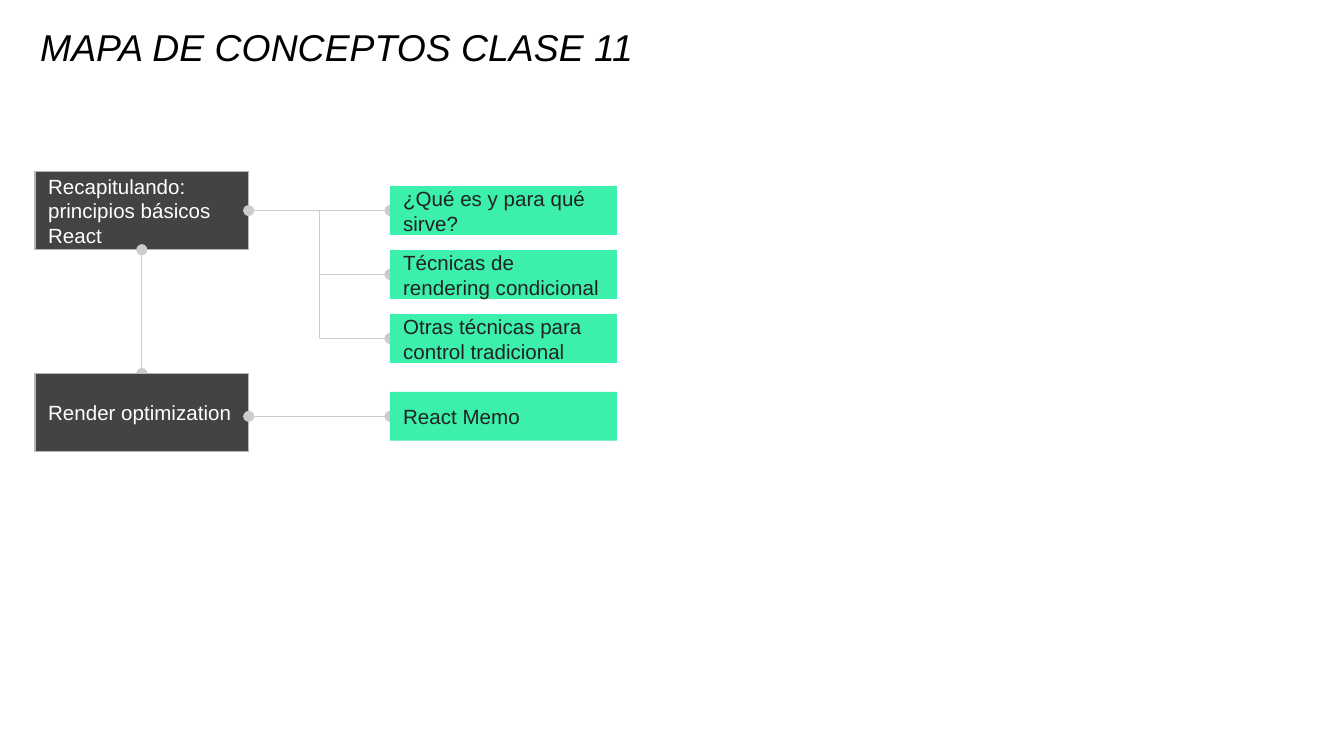
from lxml.etree import SubElement
from pptx import Presentation
from pptx.dml.color import RGBColor
from pptx.enum.shapes import MSO_CONNECTOR, MSO_SHAPE
from pptx.enum.text import MSO_ANCHOR, PP_ALIGN
from pptx.oxml.ns import qn
from pptx.util import Cm, Pt

COLORS = {
    "title": "000000",
    "topic": "434343",
    "topic_border": "B7B7B7",
    "topic_text": "FFFFFF",
    "concept": "3CEFAB",
    "concept_text": "222222",
    "link": "CCCCCC",
}
TOP, RIGHT, BOTTOM, LEFT = 0, 3, 2, 1


def color(name):
    return RGBColor.from_string(COLORS[name])


def write(box, text, size=11, ink="title", italic=False, anchor=MSO_ANCHOR.MIDDLE):
    frame = box.text_frame
    frame.word_wrap = True
    frame.vertical_anchor = anchor
    frame.margin_left = frame.margin_right = Cm(0.25)
    frame.margin_top = frame.margin_bottom = Cm(0.25)
    paragraph = frame.paragraphs[0]
    paragraph.alignment = PP_ALIGN.LEFT
    span = paragraph.add_run()
    span.text = text
    span.font.name = "Arial"
    span.font.size = Pt(size)
    span.font.italic = italic
    span.font.color.rgb = color(ink)


class ConceptMap:
    """Style and current slide of the concept map; lengths are centimetres."""

    topic_left, topic_width, topic_height = 0.66, 4.04, 1.48
    concept_left, concept_width, concept_height = 7.37, 4.29, 0.92

    def __init__(self, page):
        self.page = page

    def title(self, text):
        box = self.page.shapes.add_textbox(Cm(0.51), Cm(0.38), Cm(20.98), Cm(1.17))
        write(box, text, size=20, italic=True, anchor=MSO_ANCHOR.BOTTOM)

    def rectangle(self, text, left, top, width, height, fill, ink):
        box = self.page.shapes.add_shape(
            MSO_SHAPE.RECTANGLE, Cm(left), Cm(top), Cm(width), Cm(height))
        box.shadow.inherit = False
        box.fill.solid()
        box.fill.fore_color.rgb = color(fill)
        box.line.fill.background()
        write(box, text, ink=ink)
        return box

    def topic(self, text, top):
        box = self.rectangle(text, self.topic_left, top, self.topic_width,
                             self.topic_height, "topic", "topic_text")
        box.line.color.rgb = color("topic_border")
        box.line.width = Pt(0.75)
        return box

    def concept(self, text, top):
        return self.rectangle(text, self.concept_left, top, self.concept_width,
                              self.concept_height, "concept", "concept_text")

    def link(self, target, side, source=None, source_side=RIGHT, start=(0, 0),
             kind=MSO_CONNECTOR.STRAIGHT, head=True):
        """Join source (or the free point start) to target, just behind target."""
        x, y = (Cm(value) for value in start)
        line = self.page.shapes.add_connector(kind, x, y, x, y)
        if source is not None:
            line.begin_connect(source, source_side)
        line.end_connect(target, side)
        line.line.color.rgb = color("link")
        line.line.width = Pt(0.75)
        properties = line._element.spPr
        outline = properties.find(qn("a:ln"))
        if head:
            SubElement(outline, qn("a:headEnd"), type="oval")
        SubElement(outline, qn("a:tailEnd"), type="oval")
        SubElement(properties, qn("a:effectLst"))
        target._element.addprevious(line._element)


def main():
    deck = Presentation()
    deck.slide_width, deck.slide_height = Cm(25.4), Cm(14.29)
    concept_map = ConceptMap(deck.slides.add_slide(deck.slide_layouts[6]))
    concept_map.title("MAPA DE CONCEPTOS CLASE 11")

    recap = concept_map.topic("Recapitulando: principios básicos React", 3.24)
    optimization = concept_map.topic("Render optimization", 7.06)
    concept_map.link(optimization, TOP, recap, BOTTOM)

    techniques = [
        "¿Qué es y para qué sirve?",
        "Técnicas de rendering condicional",
        "Otras técnicas para control tradicional",
    ]
    for row, text in enumerate(techniques):
        box = concept_map.concept(text, 3.52 + 1.21 * row)
        kind = MSO_CONNECTOR.ELBOW if row else MSO_CONNECTOR.STRAIGHT
        concept_map.link(box, LEFT, recap, kind=kind, head=row == 0)

    memo = concept_map.concept("React Memo", 7.41)
    concept_map.link(memo, LEFT, start=(4.7, 7.87))

    deck.save("out.pptx")


if __name__ == "__main__":
    main()
